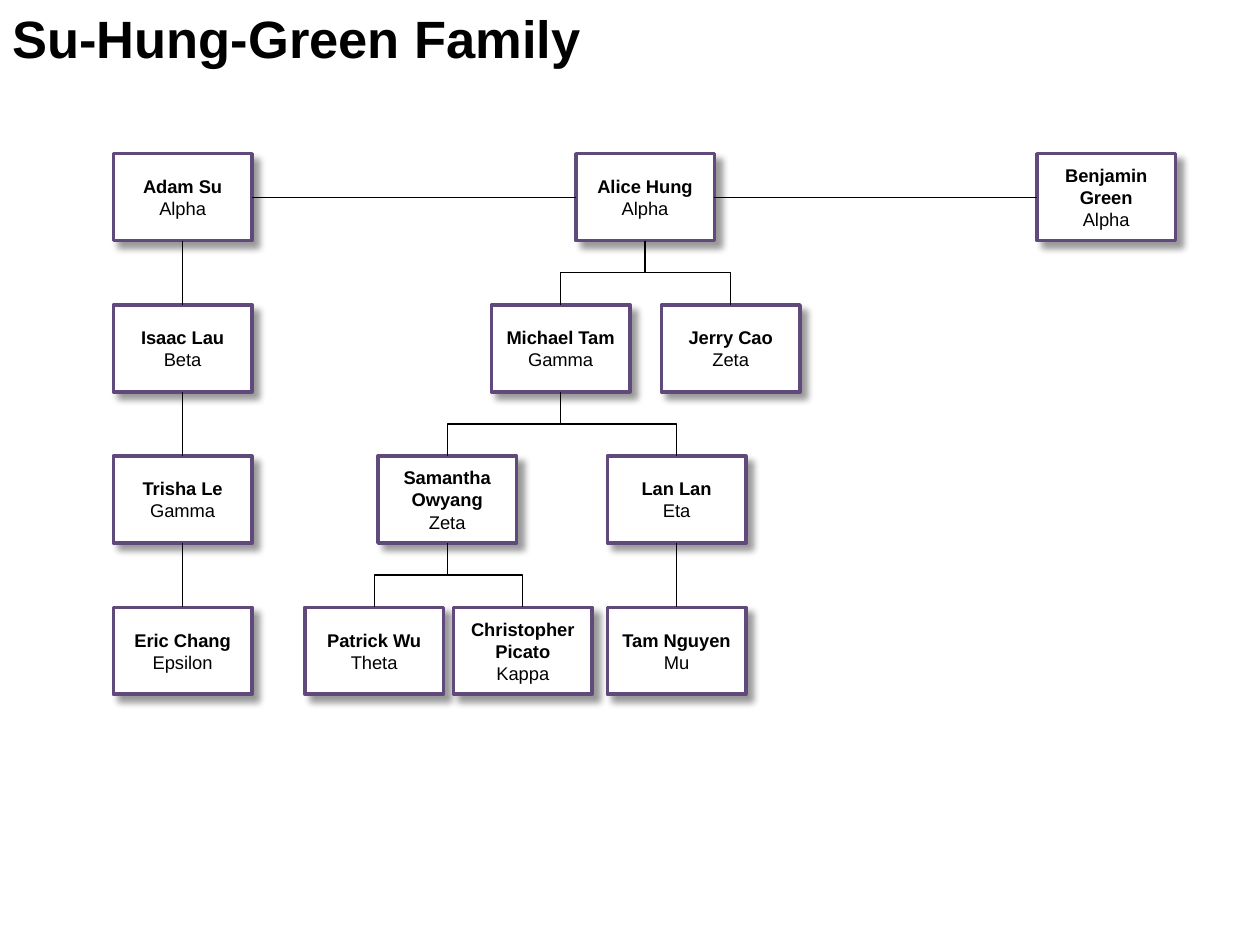
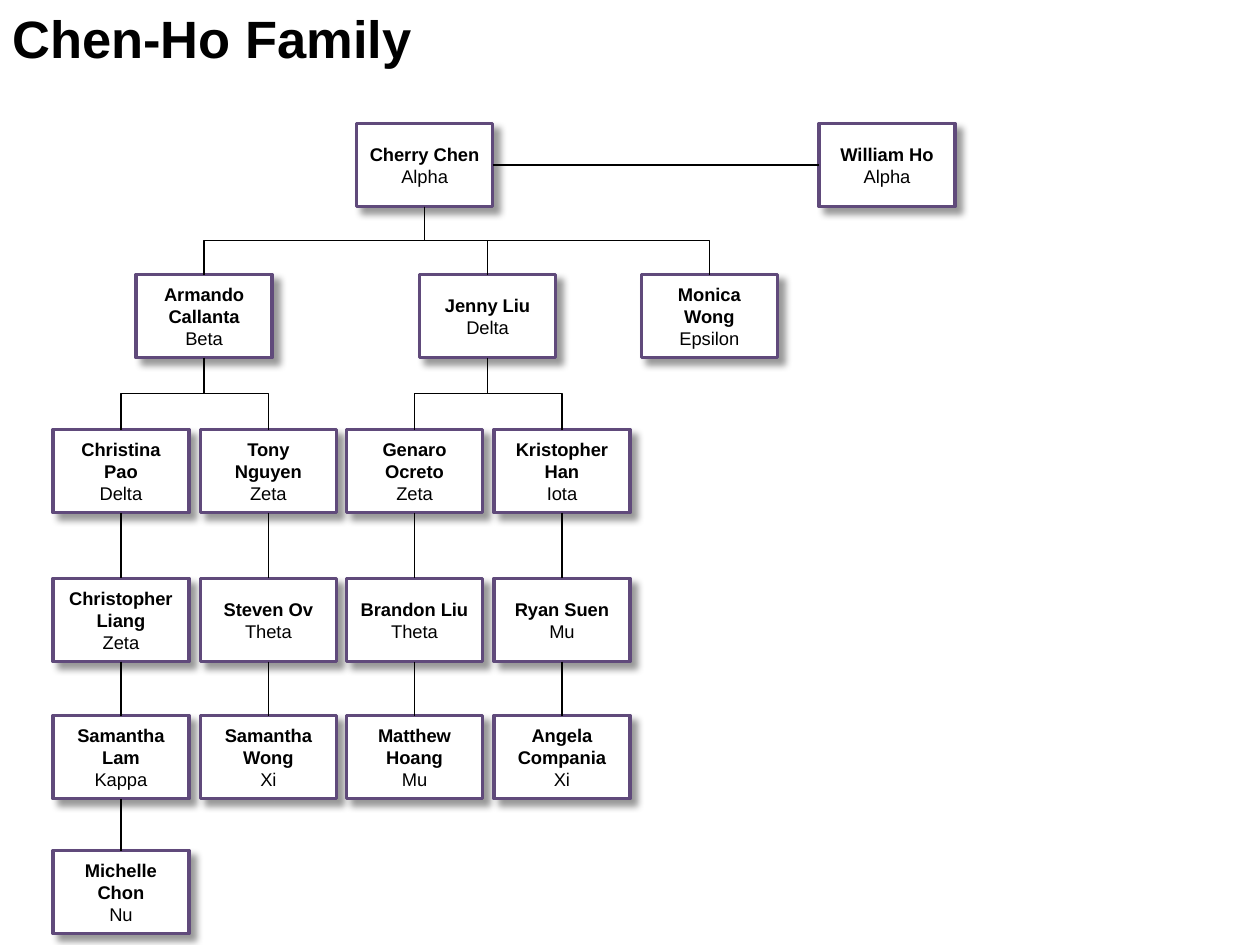
from dataclasses import dataclass

from lxml.etree import SubElement
from pptx import Presentation
from pptx.dml.color import RGBColor
from pptx.enum.shapes import MSO_CONNECTOR, MSO_SHAPE
from pptx.enum.text import MSO_ANCHOR, MSO_AUTO_SIZE, PP_ALIGN
from pptx.oxml.ns import qn
from pptx.util import Inches, Pt

FONT = "Arial"
BLACK = "000000"
WHITE = "FFFFFF"
PURPLE = "604A7B"
LEFT_SIDE, BOTTOM_SIDE, RIGHT_SIDE, TOP_SIDE = 1, 2, 3, 0


@dataclass
class Member:
    name: str
    generation: str
    offset: float
    children: tuple = ()


@dataclass
class FamilyChart:
    left: float
    row_tops: list
    box_width: float
    box_height: float
    partners: list


def color(value):
    return RGBColor.from_string(value)


def style_paragraph(para, size, bold):
    for span in para.runs:
        span.font.name = FONT
        span.font.size = Pt(size)
        span.font.bold = bold
        span.font.color.rgb = color(BLACK)


def add_title(page, text):
    box = page.shapes.add_textbox(0, 0, Inches(10), Inches(0.61))
    frame = box.text_frame
    frame.word_wrap = True
    frame.auto_size = MSO_AUTO_SIZE.SHAPE_TO_FIT_TEXT
    frame.text = text
    style_paragraph(frame.paragraphs[0], 30, True)


def add_shadow(box):
    box.shadow.inherit = False
    effects = box._element.spPr.find(qn("a:effectLst"))
    shadow = SubElement(effects, qn("a:outerShdw"), blurRad=str(Pt(4)), dist=str(Pt(5)),
                        dir="2700000", algn="tl", rotWithShape="0")
    shade = SubElement(shadow, qn("a:srgbClr"), val=BLACK)
    SubElement(shade, qn("a:alpha"), val="40000")


def add_member_box(page, chart, member, row):
    box = page.shapes.add_shape(
        MSO_SHAPE.RECTANGLE,
        Inches(chart.left + member.offset), Inches(chart.row_tops[row]),
        Inches(chart.box_width), Inches(chart.box_height))
    box.fill.solid()
    box.fill.fore_color.rgb = color(WHITE)
    box.line.color.rgb = color(PURPLE)
    box.line.width = Pt(2)
    add_shadow(box)
    frame = box.text_frame
    frame.word_wrap = True
    frame.vertical_anchor = MSO_ANCHOR.MIDDLE
    frame.text = f"{member.name}\n{member.generation}"
    for para, bold in zip(frame.paragraphs, (True, False)):
        para.alignment = PP_ALIGN.CENTER
        style_paragraph(para, 10.5, bold)
    return box


def connect(page, kind, start, start_side, end, end_side):
    line = page.shapes.add_connector(kind, 0, 0, 0, 0)
    line.begin_connect(start, start_side)
    line.end_connect(end, end_side)
    line.line.color.rgb = color(BLACK)
    line.line.width = Pt(0.75)
    SubElement(line._element.spPr, qn("a:effectLst"))
    return line


def turn_upright(line):
    goes_right = line.end_x > line.begin_x
    across, down = line.width, line.height
    line.left += (across - down) // 2
    line.top += (down - across) // 2
    line.width, line.height = down, across
    frame = line._element.spPr.find(qn("a:xfrm"))
    frame.set("rot", "16200000" if goes_right else "5400000")
    frame.set("flipH", "1" if goes_right else "0")


def add_branch(page, chart, member, row=0):
    box = add_member_box(page, chart, member, row)
    for child in member.children:
        child_box = add_branch(page, chart, child, row + 1)
        straight = child.offset == member.offset
        kind = MSO_CONNECTOR.STRAIGHT if straight else MSO_CONNECTOR.ELBOW
        line = connect(page, kind, box, BOTTOM_SIDE, child_box, TOP_SIDE)
        if not straight:
            turn_upright(line)
    return box


def add_family_page(deck, title, chart):
    page = deck.slides.add_slide(deck.slide_layouts[6])
    add_title(page, title)
    boxes = [add_branch(page, chart, partner) for partner in chart.partners]
    for first, second in zip(boxes, boxes[1:]):
        connect(page, MSO_CONNECTOR.STRAIGHT, first, RIGHT_SIDE, second, LEFT_SIDE)


def lineage(offset, *people):
    (name, generation), *younger = people
    children = (lineage(offset, *younger),) if younger else ()
    return Member(name, generation, offset, children)


def su_hung_green_chart():
    adam = lineage(0, ("Adam Su", "Alpha"), ("Isaac Lau", "Beta"),
                   ("Trisha Le", "Gamma"), ("Eric Chang", "Epsilon"))
    samantha = Member("Samantha Owyang", "Zeta", 2.1, (
        Member("Patrick Wu", "Theta", 1.52),
        Member("Christopher Picato", "Kappa", 2.7)))
    lan = lineage(3.92, ("Lan Lan", "Eta"), ("Tam Nguyen", "Mu"))
    alice = Member("Alice Hung", "Alpha", 3.67, (
        Member("Michael Tam", "Gamma", 3, (samantha, lan)),
        Member("Jerry Cao", "Zeta", 4.35)))
    benjamin = Member("Benjamin Green", "Alpha", 7.33)
    row_tops = [1.22 + 1.2 * row for row in range(4)]
    return FamilyChart(0.9, row_tops, 1.1, 0.69, [adam, alice, benjamin])


def chen_ho_chart():
    columns = [round(column * 3.5 / 3, 2) for column in range(4)]
    christina = lineage(columns[0], ("Christina Pao", "Delta"), ("Christopher Liang", "Zeta"),
                        ("Samantha Lam", "Kappa"), ("Michelle Chon", "Nu"))
    tony = lineage(columns[1], ("Tony Nguyen", "Zeta"), ("Steven Ov", "Theta"),
                   ("Samantha Wong", "Xi"))
    genaro = lineage(columns[2], ("Genaro Ocreto", "Zeta"), ("Brandon Liu", "Theta"),
                     ("Matthew Hoang", "Mu"))
    kristopher = lineage(columns[3], ("Kristopher Han", "Iota"), ("Ryan Suen", "Mu"),
                         ("Angela Compania", "Xi"))
    cherry = Member("Cherry Chen", "Alpha", 2.41, (
        Member("Armando Callanta", "Beta", 0.66, (christina, tony)),
        Member("Jenny Liu", "Delta", 2.91, (genaro, kristopher)),
        Member("Monica Wong", "Epsilon", 4.67)))
    william = Member("William Ho", "Alpha", 6.08)
    row_tops = [0.98, 2.18, 3.41, 4.59, 5.68, 6.75]
    return FamilyChart(0.42, row_tops, 1.08, 0.66, [cherry, william])


def main():
    deck = Presentation()
    deck.slide_width = Inches(10)
    deck.slide_height = Inches(7.5)
    add_family_page(deck, "Su-Hung-Green Family", su_hung_green_chart())
    add_family_page(deck, "Chen-Ho Family", chen_ho_chart())
    deck.save("out.pptx")


if __name__ == "__main__":
    main()
